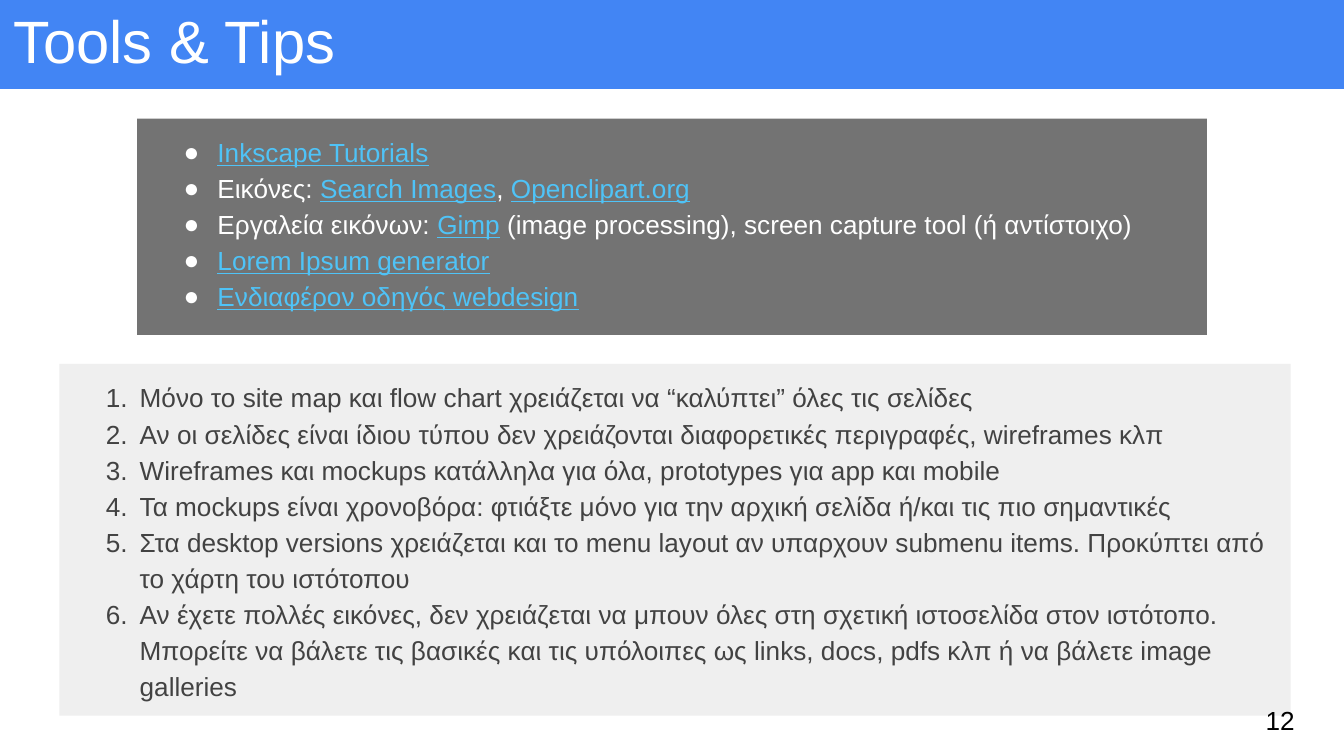
from lxml import etree
from pptx import Presentation
from pptx.dml.color import RGBColor
from pptx.enum.text import MSO_ANCHOR, MSO_AUTO_SIZE, PP_ALIGN
from pptx.oxml.ns import qn
from pptx.util import Cm, Pt

TOP, MIDDLE, BOTTOM = MSO_ANCHOR.TOP, MSO_ANCHOR.MIDDLE, MSO_ANCHOR.BOTTOM
NO_FIT = MSO_AUTO_SIZE.NONE
LEFT = PP_ALIGN.LEFT

WHITE, BLACK = "FFFFFF", "000000"
BLUE, LINK = "4285F4", "4FC3F7"
DARK_GREY, LIGHT_GREY, INK = "737373", "EFEFEF", "424242"

DOT = ("a:buChar", {"char": "●"})
NUMBER = ("a:buAutoNum", {"type": "arabicPeriod"})

TOOLS = [
    [("Inkscape Tutorials", LINK)],
    [("Εικόνες: ", WHITE), ("Search Images", LINK), (", ", WHITE), ("Openclipart.org", LINK)],
    [("Εργαλεία εικόνων: ", WHITE), ("Gimp", LINK),
     (" (image processing), screen capture tool (ή αντίστοιχο)", WHITE)],
    [("Lorem Ipsum generator", LINK)],
    [("Ενδιαφέρον οδηγός webdesign", LINK)],
]

TIPS = [
    "Μόνο το site map και flow chart χρειάζεται να “καλύπτει” όλες τις σελίδες",
    "Αν οι σελίδες είναι ίδιου τύπου δεν χρειάζονται διαφορετικές περιγραφές, wireframes κλπ",
    "Wireframes και mockups κατάλληλα για όλα, prototypes για app και mobile",
    "Τα mockups είναι χρονοβόρα: φτιάξτε μόνο για την αρχική σελίδα ή/και τις πιο σημαντικές",
    "Στα desktop versions χρειάζεται και το menu layout αν υπαρχουν submenu items. "
    "Προκύπτει από το χάρτη του ιστότοπου",
    "Αν έχετε πολλές εικόνες, δεν χρειάζεται να μπουν όλες στη σχετική ιστοσελίδα στον ιστότοπο. "
    "Μπορείτε να βάλετε τις βασικές και τις υπόλοιπες ως links, docs, pdfs κλπ "
    "ή να βάλετε image galleries",
]


def rgb(hex_color):
    return RGBColor.from_string(hex_color)


def apply_format(target, values):
    for name, value in values.items():
        setattr(target, name, value)


def place(panel, left, top, width, height):
    apply_format(panel, {"left": Cm(left), "top": Cm(top),
                         "width": Cm(width), "height": Cm(height)})


def fill_panel(panel, color):
    panel.fill.solid()
    panel.fill.fore_color.rgb = rgb(color)


def format_frame(frame, anchor):
    inset = Cm(0.25)
    apply_format(frame, {"word_wrap": True, "auto_size": NO_FIT, "vertical_anchor": anchor,
                         "margin_left": inset, "margin_right": inset,
                         "margin_top": inset, "margin_bottom": inset})


def add_run(paragraph, text, size, color):
    run = paragraph.add_run()
    run.text = text
    apply_format(run.font, {"name": "Arial", "size": Pt(size), "underline": color == LINK})
    run.font.color.rgb = rgb(color)


def add_bullet(paragraph, bullet, color):
    properties = paragraph._p.get_or_add_pPr()
    properties.set("marL", str(Cm(1.27)))
    properties.set("indent", str(-Cm(0.64)))
    bullet_color = etree.SubElement(properties, qn("a:buClr"))
    etree.SubElement(bullet_color, qn("a:srgbClr"), val=color)
    etree.SubElement(properties, qn("a:buFont"), typeface="Arial")
    tag, attributes = bullet
    etree.SubElement(properties, qn(tag), attributes)


def write_line(panel, text, size, color, anchor):
    format_frame(panel.text_frame, anchor)
    line = panel.text_frame.paragraphs[0]
    line.alignment = LEFT
    add_run(line, text, size, color)


def write_list(panel, items, bullet, bullet_color):
    frame = panel.text_frame
    format_frame(frame, TOP)
    for index, item in enumerate(items):
        paragraph = frame.add_paragraph() if index else frame.paragraphs[0]
        add_bullet(paragraph, bullet, bullet_color)
        apply_format(paragraph, {"line_spacing": 1.15, "space_before": Pt(0),
                                 "space_after": Pt(0), "alignment": LEFT})
        for text, color in item:
            add_run(paragraph, text, 14, color)


def main():
    deck = Presentation()
    apply_format(deck, {"slide_width": Cm(25.4), "slide_height": Cm(14.29)})
    slide = deck.slides.add_slide(deck.slide_layouts[3])
    heading, tips, tools = slide.placeholders

    place(heading, 0, 0, 25.4, 1.68)
    fill_panel(heading, BLUE)
    write_line(heading, "Tools & Tips", 32, WHITE, BOTTOM)

    place(tips, 1.12, 6.88, 23.27, 6.65)
    fill_panel(tips, LIGHT_GREY)
    write_list(tips, [[(tip, INK)] for tip in TIPS], NUMBER, INK)

    place(tools, 2.59, 2.24, 20.22, 4.09)
    fill_panel(tools, DARK_GREY)
    write_list(tools, TOOLS, DOT, WHITE)

    page_number = slide.shapes.add_textbox(Cm(23.67), Cm(13.06), Cm(1.52), Cm(1.09))
    write_line(page_number, "12", 14, BLACK, MIDDLE)

    deck.save("out.pptx")


if __name__ == "__main__":
    main()
